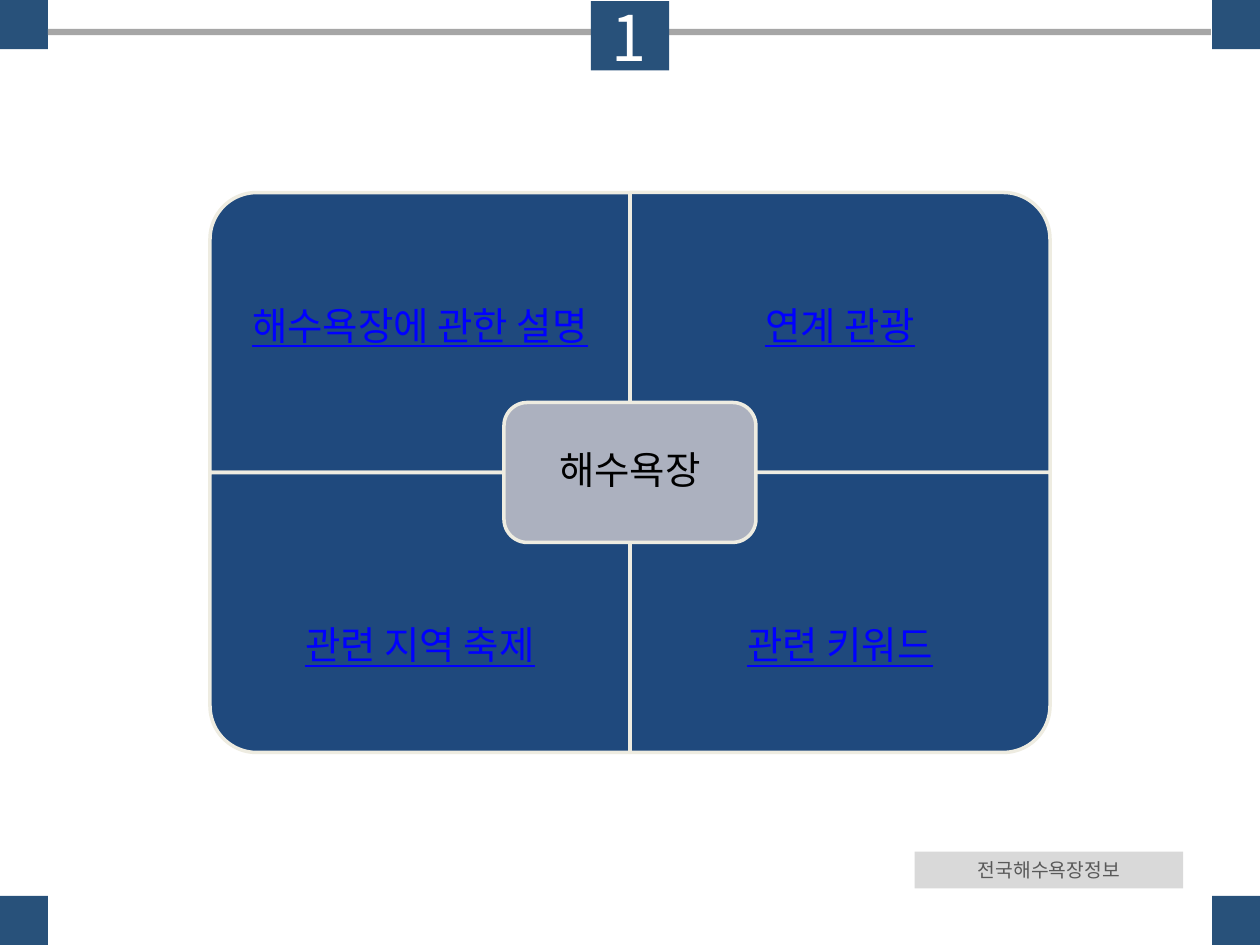
from lxml import etree
from pptx import Presentation
from pptx.dml.color import RGBColor
from pptx.enum.shapes import MSO_SHAPE
from pptx.enum.text import MSO_ANCHOR, PP_ALIGN
from pptx.oxml.ns import qn
from pptx.util import Inches, Pt

RECT = MSO_SHAPE.RECTANGLE
ROUND = MSO_SHAPE.ROUNDED_RECTANGLE
LEAF = MSO_SHAPE.ROUND_1_RECTANGLE
MID, TOP = MSO_ANCHOR.MIDDLE, MSO_ANCHOR.TOP
CENTER = PP_ALIGN.CENTER

NUMBER = "1"
FOOTER = "전국해수욕장정보"
HUB = "해수욕장"
TILES = [
    ("해수욕장에 관한 설명", 0, 0, 270),
    ("연계 관광", 1, 0, 0),
    ("관련 지역 축제", 0, 1, 180),
    ("관련 키워드", 1, 1, 90),
]

THEME = {
    "font": "Noto Sans CJK KR",
    "navy": "28517A", "rule": "A6A6A6", "band": "D9D9D9",
    "tile": "1F497D", "edge": "EEECE1", "hub": "ACB1BF",
    "number": {"size": 36, "color": "FFFFFF", "spc": 300},
    "footer": {"size": 11, "color": "595959"},
    "link": {"size": 22, "color": "0000FF", "underline": True},
    "core": {"size": 22, "color": "000000"},
}

W, H = 10, 7.5
CELL_W, CELL_H = W / 3, W * 2 / 9
LEFT, HEAD = W / 2 - CELL_W, H / 2 - CELL_H
PAD = 0.17
DROP = 0.48
CORNER = 0.39

deck = Presentation()
deck.slide_width, deck.slide_height = Inches(W), Inches(H)
slide = deck.slides.add_slide(deck.slide_layouts[6])


def block(kind, box, fill, edge=None, turn=0):
    x, y, w, h = box
    if turn % 180:
        x, y, w, h = x + (w - h) / 2, y + (h - w) / 2, h, w
    shape = slide.shapes.add_shape(kind, *map(Inches, (x, y, w, h)))
    shape.shadow.inherit = False
    shape.rotation = turn
    shape.fill.solid()
    shape.fill.fore_color.rgb = RGBColor.from_string(fill)
    if edge:
        shape.line.color.rgb = RGBColor.from_string(edge)
        shape.line.width = Pt(2)
    else:
        shape.line.fill.background()
    return shape


def label(box, text, style, pads=(0.1, 0.05, 0.1, 0.05), anchor=MID, space=1):
    frame = slide.shapes.add_textbox(*map(Inches, box)).text_frame
    frame.word_wrap = True
    frame.vertical_anchor = anchor
    for side, pad in zip(("left", "top", "right", "bottom"), pads):
        setattr(frame, "margin_" + side, Inches(pad))
    para = frame.paragraphs[0]
    para.alignment = CENTER
    para.line_spacing = space
    run = para.add_run()
    run.text = text
    look = {"name": THEME["font"], "size": Pt(style["size"]),
            "underline": style.get("underline")}
    for key, value in look.items():
        setattr(run.font, key, value)
    run.font.color.rgb = RGBColor.from_string(style["color"])
    props = run._r.get_or_add_rPr()
    etree.SubElement(props, qn("a:ea")).set("typeface", THEME["font"])
    if "spc" in style:
        props.set("spc", str(style["spc"]))


for y in (0, H - CORNER):
    for x in (-0.01, W - CORNER + 0.01):
        block(RECT, (x, y, CORNER, CORNER), THEME["navy"])

for x, w in ((5.27, 4.34), (0.38, 4.72)):
    block(RECT, (x, 0.23, w, 0.05), THEME["rule"])

block(RECT, (4.69, 0.01, 0.62, 0.55), THEME["navy"])
label((4.56, -0.06, 0.87, 0.71), NUMBER, THEME["number"], anchor=TOP)

foot = (7.26, 6.76, 2.13, 0.29)
block(RECT, foot, THEME["band"])
label(foot, FOOTER, THEME["footer"], anchor=TOP)

for text, col, row, turn in TILES:
    x, y = LEFT + col * CELL_W, HEAD + row * CELL_H
    block(LEAF, (x, y, CELL_W, CELL_H), THEME["tile"], THEME["edge"], turn)
    area = (x, y + row * CELL_H / 4, CELL_W, CELL_H * 3 / 4)
    pads = (PAD, PAD + (1 - row) * DROP, PAD, PAD)
    label(area, text, THEME["link"], pads, space=0.9)

hub_w, hub_h = CELL_W * 0.6, CELL_H / 2
hub = ((W - hub_w) / 2, (H - hub_h) / 2, hub_w, hub_h)
block(ROUND, hub, THEME["hub"], THEME["edge"])
label(hub, HUB, THEME["core"], (0.09,) * 4, space=0.9)

deck.save("out.pptx")
